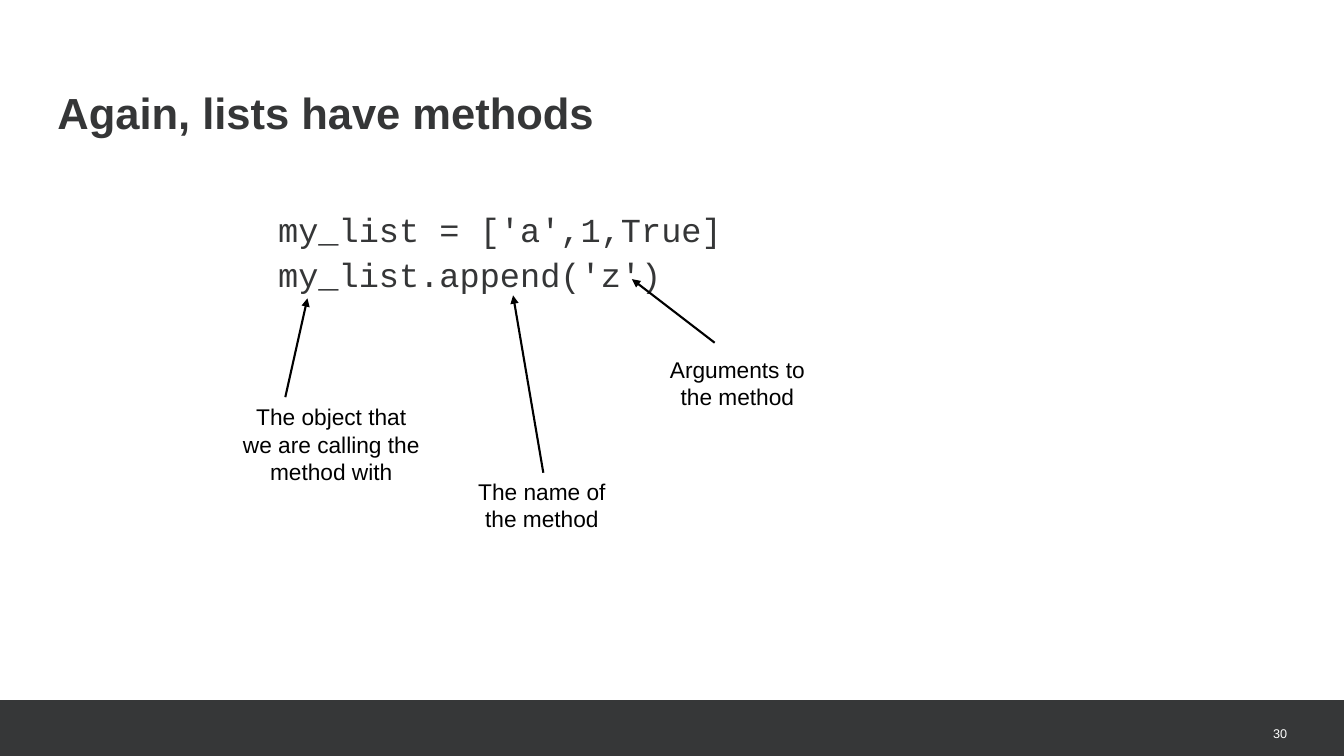
"""Builds the slide that names the parts of a list method call."""
from dataclasses import dataclass

from lxml import etree
from pptx import Presentation
from pptx.dml import color
from pptx.enum import shapes, text
from pptx.oxml import ns
from pptx.util import Pt


@dataclass(frozen=True)
class Theme:
    ink: color.RGBColor = color.RGBColor(0x35, 0x36, 0x37)
    bar: color.RGBColor = color.RGBColor(0x36, 0x37, 0x38)
    black: color.RGBColor = color.RGBColor(0, 0, 0)
    white: color.RGBColor = color.RGBColor(0xFF, 0xFF, 0xFF)
    sans: str = "Arial"
    mono: str = "Courier New"
    title_size: float = 31.1
    code_size: float = 24
    label_size: float = 16.2
    number_size: float = 9


@dataclass(frozen=True)
class Style:
    face: str
    size: float
    ink: color.RGBColor
    align: text.PP_ALIGN = text.PP_ALIGN.LEFT
    bold: bool = False
    leading: float | None = None
    after: float = 0


@dataclass(frozen=True)
class Box:
    left: float
    top: float
    width: float
    height: float

    def lengths(self) -> tuple:
        return Pt(self.left), Pt(self.top), Pt(self.width), Pt(self.height)


@dataclass(frozen=True)
class Callout:
    lines: tuple[str, ...]
    box: Box
    tail: tuple[float, float]
    tip: tuple[float, float]
    wrap: bool = True


THEME = Theme()
TITLE = Style(THEME.sans, THEME.title_size, THEME.ink, bold=True, leading=32.5)
CODE = Style(THEME.mono, THEME.code_size, THEME.ink, after=3.7)
LABEL = Style(THEME.sans, THEME.label_size, THEME.black, text.PP_ALIGN.CENTER)
NUMBER = Style(THEME.sans, THEME.number_size, THEME.white, text.PP_ALIGN.RIGHT, leading=19)

CODE_LINES = ("my_list = ['a',1,True]", "my_list.append('z')")
CALLOUTS = (
    Callout(("The object that", "we are calling the", "method with"),
            Box(164.2, 284.4, 144.7, 66.2), (203.8, 283.7), (219.6, 213.1)),
    Callout(("The name of the method",),
            Box(333.4, 337.7, 107.3, 46.8), (388.1, 337.7), (366.5, 211)),
    Callout(("Arguments to", "the method"),
            Box(470.9, 250.6, 111.6, 46.8), (510.5, 244.8), (451.4, 199.4), wrap=False),
)


def write(frame, lines: tuple[str, ...], style: Style) -> None:
    for index, line in enumerate(lines):
        paragraph = frame.paragraphs[0] if index == 0 else frame.add_paragraph()
        paragraph.alignment = style.align
        paragraph.space_before = Pt(0)
        paragraph.space_after = Pt(style.after)
        if style.leading:
            paragraph.line_spacing = Pt(style.leading)
        run = paragraph.add_run()
        run.text = line
        run.font.name = style.face
        run.font.size = Pt(style.size)
        run.font.bold = style.bold
        run.font.color.rgb = style.ink


def set_frame(frame, top_inset: float = 0, anchor=text.MSO_ANCHOR.TOP) -> None:
    frame.margin_left = frame.margin_right = frame.margin_bottom = Pt(0)
    frame.margin_top = Pt(top_inset)
    frame.vertical_anchor = anchor
    frame.auto_size = text.MSO_AUTO_SIZE.NONE
    frame.word_wrap = True


def add_footer(slide, number: str) -> None:
    bar = slide.shapes.add_shape(shapes.MSO_SHAPE.RECTANGLE, *Box(0, 500, 960, 40).lengths())
    bar.shadow.inherit = False
    bar.fill.solid()
    bar.fill.fore_color.rgb = THEME.bar
    bar.line.fill.background()
    page = slide.shapes.add_textbox(*Box(879.8, 500, 39.6, 39.6).lengths())
    set_frame(page.text_frame, anchor=text.MSO_ANCHOR.MIDDLE)
    write(page.text_frame, (number,), NUMBER)


def add_title(slide, wording: str) -> None:
    title = slide.shapes.title
    title.left, title.top, title.width, title.height = Box(41, 66.2, 430.6, 56.9).lengths()
    set_frame(title.text_frame)
    write(title.text_frame, (wording,), TITLE)


def add_code(slide, lines: tuple[str, ...]) -> None:
    code = slide.shapes.add_textbox(*Box(198.7, 123.1, 449.3, 344.2).lengths())
    set_frame(code.text_frame, top_inset=25.9)
    write(code.text_frame, lines, CODE)


def add_callout(slide, callout: Callout) -> None:
    label = slide.shapes.add_textbox(*callout.box.lengths())
    label.text_frame.word_wrap = callout.wrap
    label.text_frame.auto_size = text.MSO_AUTO_SIZE.SHAPE_TO_FIT_TEXT
    write(label.text_frame, callout.lines, LABEL)
    arrow = slide.shapes.add_connector(
        shapes.MSO_CONNECTOR.STRAIGHT, *map(Pt, callout.tail + callout.tip))
    arrow.line.color.rgb = THEME.black
    arrow.line.width = Pt(1.5)
    etree.SubElement(arrow.line._get_or_add_ln(), ns.qn("a:tailEnd"), type="triangle")
    etree.SubElement(arrow._element.spPr, ns.qn("a:effectLst"))


def main() -> None:
    deck = Presentation()
    deck.slide_width, deck.slide_height = Pt(960), Pt(540)
    slide = deck.slides.add_slide(deck.slide_layouts.get_by_name("Title Only"))
    add_footer(slide, "30")
    add_title(slide, "Again, lists have methods")
    add_code(slide, CODE_LINES)
    for callout in CALLOUTS:
        add_callout(slide, callout)
    deck.save("out.pptx")


if __name__ == "__main__":
    main()
